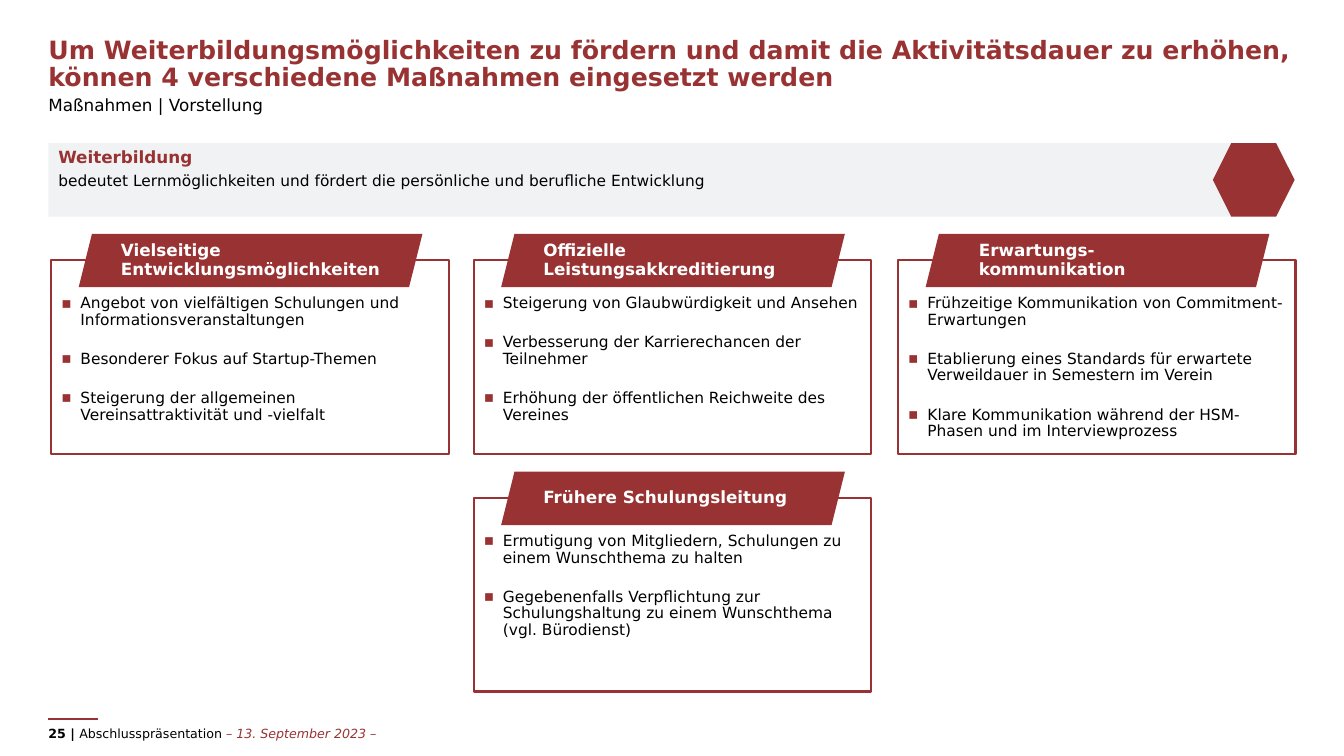
from dataclasses import dataclass

from lxml.etree import SubElement
from pptx import Presentation
from pptx.dml.color import RGBColor
from pptx.enum.shapes import MSO_CONNECTOR, MSO_SHAPE
from pptx.enum.text import MSO_ANCHOR, MSO_AUTO_SIZE, PP_ALIGN
from pptx.oxml.ns import qn
from pptx.shapes.autoshape import Shape
from pptx.slide import Slide
from pptx.text.text import TextFrame, _Paragraph as Paragraph
from pptx.util import Inches, Pt


@dataclass(frozen=True)
class Theme:
    font: str = "DejaVu Sans"
    red: RGBColor = RGBColor(0x99, 0x33, 0x33)
    grey: RGBColor = RGBColor(0xF0, 0xF2, 0xF4)
    black: RGBColor = RGBColor(0, 0, 0)
    white: RGBColor = RGBColor(255, 255, 255)
    title: int = 18
    heading: int = 12
    body: int = 11
    footer: int = 9
    line: float = 1.5


@dataclass(frozen=True)
class Box:
    left: float
    top: float
    width: float
    height: float

    def lengths(self) -> tuple:
        return tuple(Inches(v) for v in (self.left, self.top, self.width, self.height))


@dataclass(frozen=True)
class Measure:
    column: int
    row: int
    heading: str
    points: tuple[str, ...]
    heading_indent: float = 0.08


THEME = Theme()
MARGIN = 0.48
CONTENT_WIDTH = 12.37
COLUMN_LEFTS = (0.51, 4.7, 8.91)
CARD_TOP = 2.58
ROW_PITCH = 2.36
BULLET_INDENT = 0.19

MEASURES = (
    Measure(0, 0, "Vielseitige Entwicklungsmöglichkeiten", (
        "Angebot von vielfältigen Schulungen und Informationsveranstaltungen",
        "Besonderer Fokus auf Startup-Themen",
        "Steigerung der allgemeinen Vereinsattraktivität und -vielfalt",
    )),
    Measure(1, 0, "Offizielle Leistungsakkreditierung", (
        "Steigerung von Glaubwürdigkeit und Ansehen",
        "Verbesserung der Karrierechancen der Teilnehmer",
        "Erhöhung der öffentlichen Reichweite des Vereines",
    )),
    Measure(2, 0, "Erwartungs-\vkommunikation", (
        "Frühzeitige Kommunikation von Commitment-Erwartungen",
        "Etablierung eines Standards für erwartete Verweildauer in Semestern im Verein",
        "Klare Kommunikation während der HSM-Phasen und im Interviewprozess",
    ), BULLET_INDENT),
    Measure(1, 1, "Frühere Schulungsleitung", (
        "Ermutigung von Mitgliedern, Schulungen zu einem Wunschthema zu halten",
        "Gegebenenfalls Verpflichtung zur Schulungshaltung zu einem Wunschthema (vgl. Bürodienst)",
    )),
)


def set_frame(frame: TextFrame, insets: tuple[float, float, float, float],
              anchor: MSO_ANCHOR = MSO_ANCHOR.TOP) -> None:
    frame.word_wrap = True
    frame.auto_size = MSO_AUTO_SIZE.NONE
    frame.vertical_anchor = anchor
    frame.margin_left, frame.margin_top, frame.margin_right, frame.margin_bottom = map(Inches, insets)


def style(paragraph: Paragraph, size: int, color: RGBColor, bold: bool = False,
          spacing: float = 0.9, after: int = 0) -> None:
    paragraph.alignment = PP_ALIGN.LEFT
    paragraph.line_spacing = spacing
    paragraph.space_after = Pt(after)
    for run in paragraph.runs:
        run.font.name = THEME.font
        run.font.size = Pt(size)
        run.font.bold = bold
        run.font.color.rgb = color


def add_bullet(paragraph: Paragraph) -> None:
    properties = paragraph._p.get_or_add_pPr()
    properties.set("marL", str(Inches(BULLET_INDENT)))
    properties.set("indent", str(-Inches(BULLET_INDENT)))
    color = SubElement(properties, qn("a:buClr"))
    SubElement(color, qn("a:srgbClr"), val=str(THEME.red))
    SubElement(properties, qn("a:buFont"), typeface=THEME.font)
    SubElement(properties, qn("a:buChar"), char="▪")


def add_block(slide: Slide, kind: MSO_SHAPE, box: Box, fill: RGBColor | None = None) -> Shape:
    shape = slide.shapes.add_shape(kind, *box.lengths())
    shape.shadow.inherit = False
    if fill is None:
        shape.fill.background()
        shape.line.color.rgb = THEME.red
        shape.line.width = Pt(THEME.line)
    else:
        shape.fill.solid()
        shape.fill.fore_color.rgb = fill
        shape.line.fill.background()
    return shape


def add_measure(slide: Slide, measure: Measure) -> None:
    left = COLUMN_LEFTS[measure.column]
    top = CARD_TOP + measure.row * ROW_PITCH
    card = add_block(slide, MSO_SHAPE.RECTANGLE, Box(left, top, 3.94, 1.92))
    frame = card.text_frame
    set_frame(frame, (0.1, 0.35, 0.1, 0.04))
    for index, point in enumerate(measure.points):
        paragraph = frame.add_paragraph() if index else frame.paragraphs[0]
        paragraph.text = point
        style(paragraph, THEME.body, THEME.black, after=6)
        if index:
            paragraph.space_before = Pt(10)
        add_bullet(paragraph)

    banner = add_block(slide, MSO_SHAPE.PARALLELOGRAM,
                       Box(left + 0.27, top - 0.26, 3.41, 0.53), THEME.red)
    set_frame(banner.text_frame, (measure.heading_indent, 0.08, 0, 0.08), MSO_ANCHOR.MIDDLE)
    banner.text_frame.text = measure.heading
    style(banner.text_frame.paragraphs[0], THEME.heading, THEME.white, bold=True)


def add_header(slide: Slide) -> None:
    title = slide.shapes.title
    title.left, title.top, title.width, title.height = Box(MARGIN, 0.2, CONTENT_WIDTH, 0.76).lengths()
    set_frame(title.text_frame, (0, 0.05, 0, 0.05), MSO_ANCHOR.BOTTOM)
    title.text_frame.text = ("Um Weiterbildungsmöglichkeiten zu fördern und damit die Aktivitätsdauer "
                             "zu erhöhen, können 4 verschiedene Maßnahmen eingesetzt werden")
    style(title.text_frame.paragraphs[0], THEME.title, THEME.red, bold=True)

    subtitle = slide.shapes.add_textbox(*Box(MARGIN, 0.91, CONTENT_WIDTH, 0.31).lengths())
    set_frame(subtitle.text_frame, (0, 0.05, 0, 0.05))
    subtitle.text_frame.text = "Maßnahmen | Vorstellung"
    style(subtitle.text_frame.paragraphs[0], THEME.heading, THEME.black)


def add_definition(slide: Slide) -> None:
    band = add_block(slide, MSO_SHAPE.PENTAGON, Box(MARGIN, 1.42, 12.36, 0.73), THEME.grey)
    band.adjustments[0] = 0.25
    frame = band.text_frame
    set_frame(frame, (0.1, 0.04, 1.14, 0.04))
    frame.text = ("Weiterbildung\n"
                  "bedeutet Lernmöglichkeiten und fördert die persönliche und berufliche Entwicklung")
    term, meaning = frame.paragraphs
    style(term, THEME.heading, THEME.red, bold=True, spacing=1.0, after=3)
    style(meaning, THEME.body, THEME.black, spacing=1.0, after=6)
    add_block(slide, MSO_SHAPE.HEXAGON, Box(12.03, 1.42, 0.81, 0.73), THEME.red)


def add_footer(slide: Slide) -> None:
    rule = slide.shapes.add_connector(MSO_CONNECTOR.STRAIGHT, Inches(MARGIN), Inches(7.13),
                                      Inches(0.97), Inches(7.13))
    rule.line.color.rgb = THEME.red
    rule.line.width = Pt(THEME.line)
    SubElement(rule._element.spPr, qn("a:effectLst"))

    footer = slide.shapes.add_textbox(*Box(MARGIN, 7.15, CONTENT_WIDTH, 0.25).lengths())
    set_frame(footer.text_frame, (0, 0.05, 0, 0.05), MSO_ANCHOR.MIDDLE)
    paragraph = footer.text_frame.paragraphs[0]
    for text in ("25 | ", "Abschlusspräsentation ", "– 13. September 2023 –"):
        paragraph.add_run().text = text
    style(paragraph, THEME.footer, THEME.black, spacing=1.0)
    number, _, date = paragraph.runs
    number.font.bold = True
    date.font.italic = True
    date.font.color.rgb = THEME.red


def main() -> None:
    presentation = Presentation()
    presentation.slide_width, presentation.slide_height = Inches(13.33), Inches(7.5)
    slide = presentation.slides.add_slide(presentation.slide_layouts[5])
    add_header(slide)
    add_definition(slide)
    for measure in MEASURES:
        add_measure(slide, measure)
    add_footer(slide)
    presentation.save("out.pptx")


if __name__ == "__main__":
    main()
